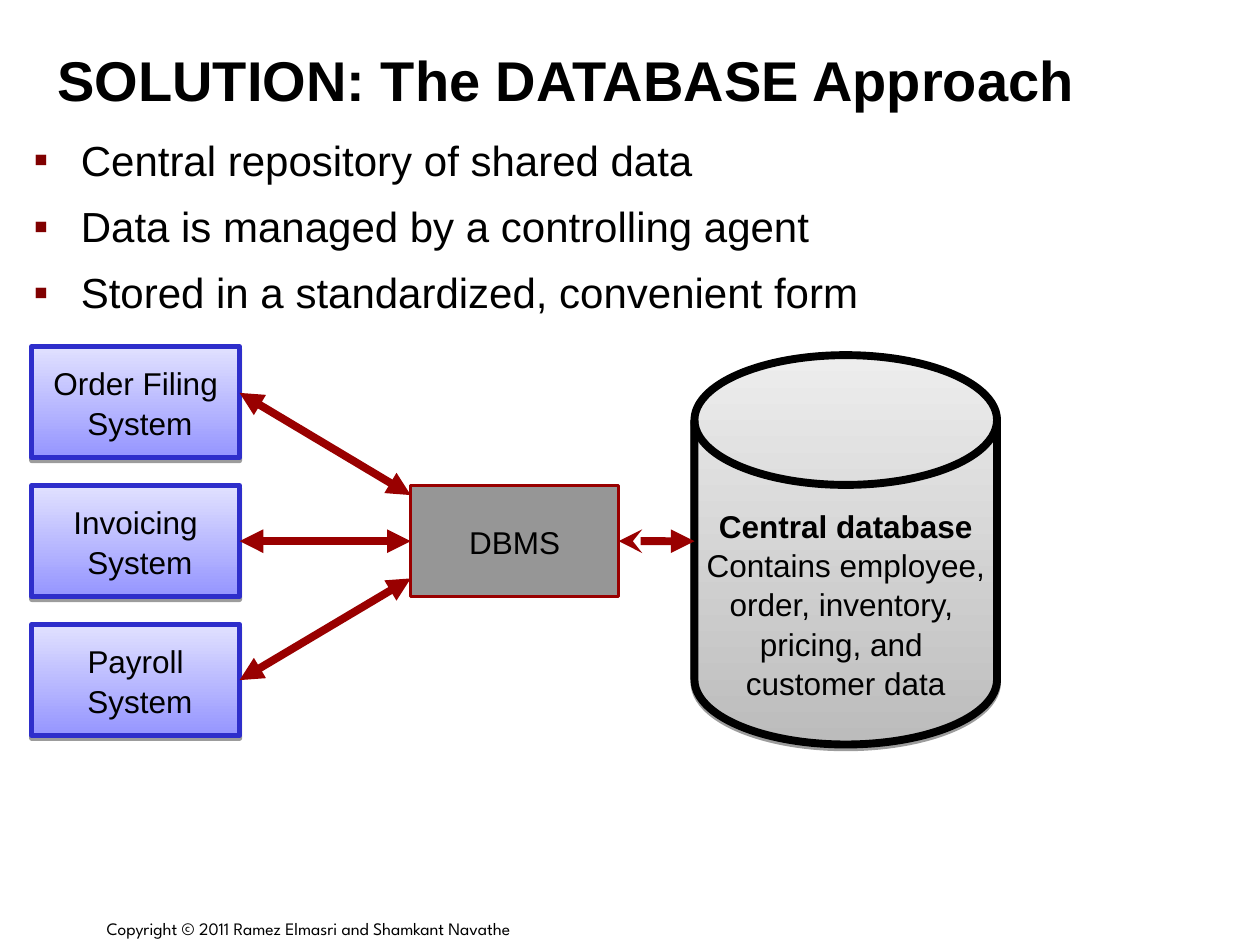
from dataclasses import dataclass

from lxml import etree
from pptx import Presentation
from pptx import util as u
from pptx.dml.color import RGBColor
from pptx.enum import shapes, text
from pptx.oxml import ns


@dataclass(frozen=True)
class Theme:
    ink: str = "000000"
    bullet: str = "800000"
    arrow: str = "990000"
    system_line: str = "2E2ECB"
    system_fill: tuple = ("E1E1FF", "9595FF")
    store_fill: tuple = ("EDEDED", "BCBCBC")
    dbms_fill: str = "969696"
    font: str = "Arial"
    footer_font: str = "League Spartan"
    title: int = 32
    body: int = 24
    label: int = 18
    footer: int = 10
    leading: float = 1.04


theme = Theme()
rgb = RGBColor.from_string
Cm = u.Cm


def write(box, lines, size, font=theme.font, align=text.PP_ALIGN.CENTER,
          anchor=text.MSO_ANCHOR.MIDDLE, wrap=True):
    """Fill a box with one paragraph per line and return the paragraphs."""
    frame = box.text_frame
    frame.word_wrap = wrap
    frame.vertical_anchor = anchor
    frame.text = "\n".join(lines)
    for para in frame.paragraphs:
        para.alignment = align
        para.line_spacing = theme.leading
        for span in para.runs:
            span.font.size = u.Pt(size)
            span.font.name = font
            span.font.color.rgb = rgb(theme.ink)
    return frame.paragraphs


def add_block(kind, place, colours, line, width):
    """Add a shape; two colours give a top-to-bottom gradient and a shadow."""
    shape = page.shapes.add_shape(kind, *map(Cm, place))
    shape.shadow.inherit = False
    shape.line.color.rgb = rgb(line)
    shape.line.width = u.Pt(width)
    if len(colours) == 1:
        shape.fill.solid()
        shape.fill.fore_color.rgb = rgb(colours[0])
        return shape
    shape.fill.gradient()
    shape.fill.gradient_angle = 270
    for stop, colour in zip(shape.fill.gradient_stops, colours):
        stop.color.rgb = rgb(colour)
    effects = shape.element.spPr.find(ns.qn("a:effectLst"))
    shadow = etree.SubElement(effects, ns.qn("a:outerShdw"), blurRad="0",
                              dist=str(u.Pt(1.6)), dir="5400000", rotWithShape="0")
    colour = etree.SubElement(shadow, ns.qn("a:srgbClr"), val=theme.ink)
    etree.SubElement(colour, ns.qn("a:alpha"), val="38000")
    return shape


deck = Presentation()
deck.slide_width, deck.slide_height = Cm(25.4), Cm(19.05)
page = deck.slides.add_slide(deck.slide_layouts[6])

# Footer, title and bullets
footer = page.shapes.add_textbox(Cm(1.9), Cm(18.21), Cm(18.19), Cm(0.84))
write(footer, ["Copyright © 2011 Ramez Elmasri and Shamkant Navathe"], theme.footer,
      theme.footer_font, text.PP_ALIGN.LEFT, text.MSO_ANCHOR.BOTTOM)

title = page.shapes.add_textbox(Cm(0.2), Cm(0.2), Cm(22.43), Cm(2.74))
write(title, ["SOLUTION: The DATABASE Approach"], theme.title)[0].runs[0].font.bold = True

body = page.shapes.add_textbox(Cm(0.43), Cm(2.54), Cm(22.86), Cm(4.47))
points = write(body, ["Central repository of shared data",
                      "Data is managed by a controlling agent",
                      "Stored in a standardized, convenient form"],
               theme.body, align=text.PP_ALIGN.LEFT, anchor=text.MSO_ANCHOR.TOP)
for number, para in enumerate(points):
    props = para._p.get_or_add_pPr()
    props.set("marL", str(Cm(0.95)))
    props.set("indent", str(-Cm(0.95)))
    colour = etree.SubElement(props, ns.qn("a:buClr"))
    etree.SubElement(colour, ns.qn("a:srgbClr"), val=theme.bullet)
    etree.SubElement(props, ns.qn("a:buFont"), typeface=theme.font)
    etree.SubElement(props, ns.qn("a:buChar"), char="▪")
    if number:
        para.space_before = u.Pt(8)

# Systems on the left, the DBMS and the database
left, top, width, height, pitch = 0.64, 6.99, 4.19, 2.24, 2.8
rectangle = shapes.MSO_SHAPE.RECTANGLE
systems = []
for row, name in enumerate(["Order Filing", "Invoicing", "Payroll"]):
    system = add_block(rectangle, (left, top + row * pitch, width, height),
                       theme.system_fill, theme.system_line, 3)
    write(system, [name, " System"], theme.label, wrap=False)
    systems.append(system)

dbms_left = 8.28
dbms = add_block(rectangle, (dbms_left, top + pitch, width, height),
                 [theme.dbms_fill], theme.arrow, 2)
write(dbms, ["DBMS"], theme.label, wrap=False)

store_left = 14
store = add_block(shapes.MSO_SHAPE.FLOWCHART_MAGNETIC_DISK, (store_left, 7.16, 6.1, 7.85),
                  theme.store_fill, theme.ink, 4.5)
store.text_frame.margin_top = Cm(0.98)
contents = write(store, ["Central database", "Contains employee,", "order, inventory, ",
                         "pricing, and ", "customer data"], theme.label, wrap=False)
contents[0].runs[0].font.bold = True

# Arrows: start point, end point, arrowhead at start, joined shapes
middle = top + pitch + height / 2
system_right, dbms_right = left + width, dbms_left + width
arrows = [
    ((system_right, 7.92), (dbms_left, middle - 0.93), "triangle", None, None),
    ((system_right, middle), (dbms_left, middle), "triangle", systems[1], dbms),
    ((system_right, middle + pitch), (dbms_left, middle + 0.75), "triangle", systems[2], None),
    ((dbms_right, middle), (store_left, middle), "stealth", dbms, None),
]
for start, end, head, source, target in arrows:
    arrow = page.shapes.add_connector(shapes.MSO_CONNECTOR.STRAIGHT, *map(Cm, start + end))
    if source:
        arrow.begin_connect(source, 3)
    if target:
        arrow.end_connect(target, 1)
    arrow.line.color.rgb = rgb(theme.arrow)
    arrow.line.width = u.Pt(4.5)
    props = arrow.element.spPr
    line = props.find(ns.qn("a:ln"))
    etree.SubElement(line, ns.qn("a:headEnd"), type=head)
    etree.SubElement(line, ns.qn("a:tailEnd"), type="triangle")
    etree.SubElement(props, ns.qn("a:effectLst"))

deck.save("out.pptx")
